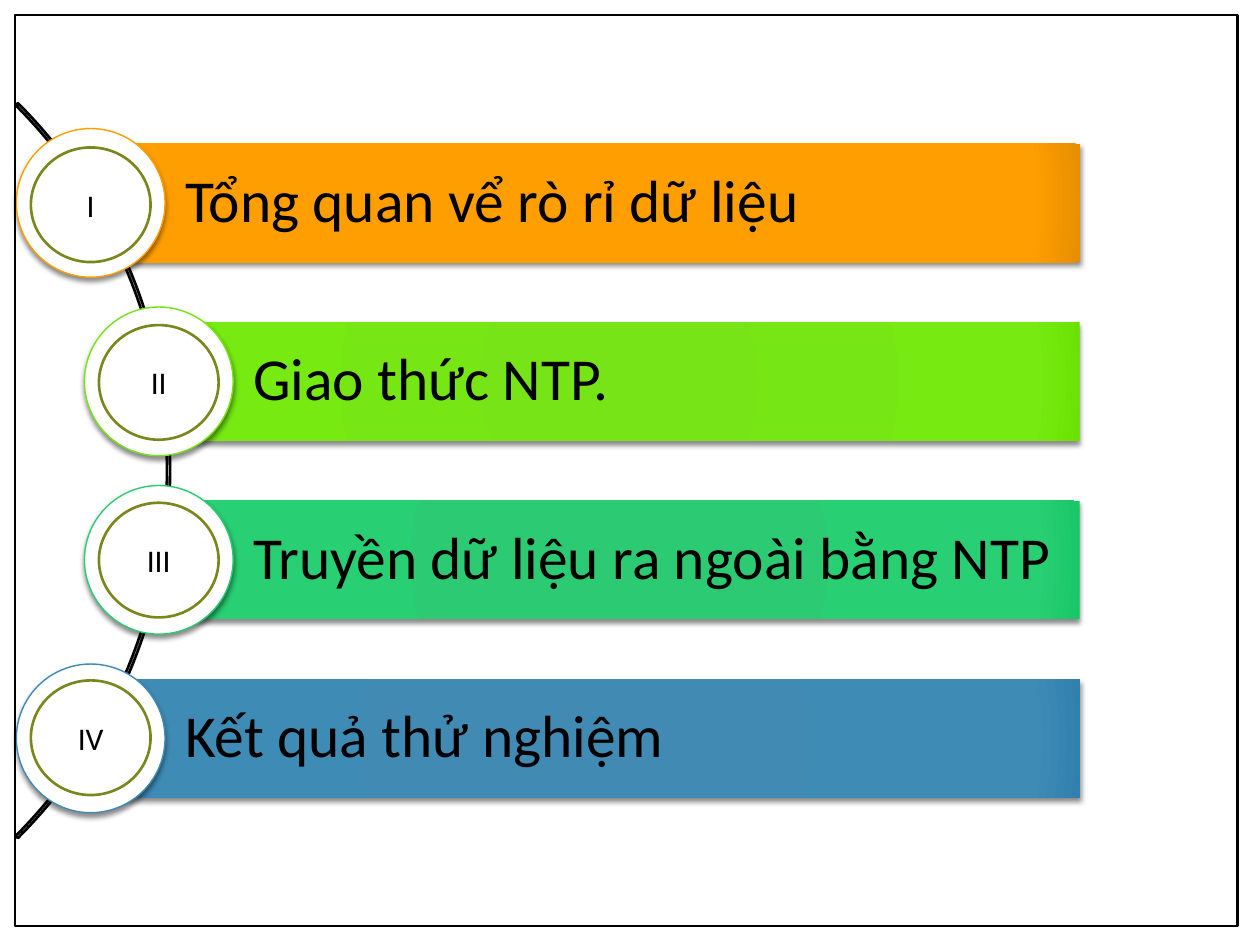
from dataclasses import dataclass

from lxml import etree
from pptx import Presentation
from pptx import util as u
from pptx.dml.color import RGBColor
from pptx.enum import shapes, text
from pptx.oxml import parse_xml
from pptx.oxml.ns import nsdecls, qn


@dataclass(frozen=True)
class Theme:
    font: str = "Calibri"
    ink: str = "000000"
    paper: str = "FFFFFF"
    ring: str = "7B871D"
    heading_size: float = 34
    numeral_size: float = 18
    line: float = 1.5
    thin_line: float = 0.79


THEME = Theme()

# Numeral, heading, bar gradient (start, 90 %, end), left edge of the bar
SECTIONS = [
    ("I", "Tổng quan vể rò rỉ dữ liệu", ("FE9E00", "FE9E00", "E78F00"), 0.72),
    ("II", "Giao thức NTP.", ("76E416", "76EA11", "6AE201"), 1.26),
    ("III", "Truyền dữ liệu ra ngoài bằng NTP", ("2CCB73", "28CF73", "19C767"), 1.26),
    ("IV", "Kết quả thử nghiệm", ("418AB3", "3E8BB6", "3180AD"), 0.72),
]
FIRST_TOP, LAST_TOP = 1.14, 5.39
BAR_RIGHT, BAR_HEIGHT = 8.57, 0.94
DISC_SIZE = 1.18
RING_TOP, RING_PITCH = 1.17, 1.41
RING_WIDTH, RING_HEIGHT = 0.95, 0.91


def add_shape(page, kind, box, fill=None, line=None, width=THEME.line):
    """Place a preset shape in box = (left, top, width, height) in inches."""
    shape = page.shapes.add_shape(kind, *map(u.Inches, box))
    shape.shadow.inherit = False
    if fill:
        shape.fill.solid()
        shape.fill.fore_color.rgb = RGBColor.from_string(fill)
    else:
        shape.fill.background()
    if line:
        shape.line.color.rgb = RGBColor.from_string(line)
        shape.line.width = u.Pt(width)
    else:
        shape.line.fill.background()
    return shape


def add_shadow(shape):
    effects = shape._element.spPr.find(qn("a:effectLst"))
    shadow = etree.SubElement(effects, qn("a:outerShdw"), blurRad=str(u.Pt(3)),
                              dist=str(u.Pt(2)), dir="5400000", rotWithShape="0")
    color = etree.SubElement(shadow, qn("a:srgbClr"), val=THEME.ink)
    etree.SubElement(color, qn("a:alpha"), val="45000")


def set_path_gradient(shape, colors):
    stops = "".join(
        f'<a:gs pos="{position}"><a:srgbClr val="{color}"/></a:gs>'
        for position, color in zip((0, 90000, 100000), colors))
    gradient = parse_xml(
        f'<a:gradFill {nsdecls("a")} rotWithShape="1"><a:gsLst>{stops}</a:gsLst>'
        '<a:path path="circle"><a:fillToRect l="100000" t="100000" r="100000" '
        'b="100000"/></a:path></a:gradFill>')
    properties = shape._element.spPr
    properties.replace(properties.find(qn("a:noFill")), gradient)


def write_text(shape, words, size, align):
    frame = shape.text_frame
    frame.word_wrap = True
    frame.vertical_anchor = text.MSO_ANCHOR.MIDDLE
    para = frame.paragraphs[0]
    para.text = words
    para.alignment = align
    para.font.name = THEME.font
    para.font.size = u.Pt(size)
    para.font.color.rgb = RGBColor.from_string(THEME.ink)
    return frame


def add_arc(page, box):
    arc = add_shape(page, shapes.MSO_SHAPE.BLOCK_ARC, box, line=THEME.ink)
    for index, value in enumerate((189, 27, 0.003)):
        arc.adjustments[index] = value


def add_section(page, box, heading, colors):
    """A heading bar with a white disc centred on its left edge."""
    left, top, _, height = box
    bar = add_shape(page, shapes.MSO_SHAPE.RECTANGLE, box)
    set_path_gradient(bar, colors)
    add_shadow(bar)
    frame = write_text(bar, heading, THEME.heading_size, text.PP_ALIGN.LEFT)
    frame.paragraphs[0].line_spacing = 0.9
    frame.margin_left = u.Inches(0.75)
    frame.margin_top = frame.margin_right = frame.margin_bottom = u.Inches(0.09)

    disc_box = (left - DISC_SIZE / 2, top + (height - DISC_SIZE) / 2,
                DISC_SIZE, DISC_SIZE)
    disc = add_shape(page, shapes.MSO_SHAPE.OVAL, disc_box, THEME.paper,
                     colors[0], THEME.thin_line)
    add_shadow(disc)


def add_numeral(page, box, numeral):
    ring = add_shape(page, shapes.MSO_SHAPE.FLOWCHART_CONNECTOR, box, line=THEME.ring)
    write_text(ring, numeral, THEME.numeral_size, text.PP_ALIGN.CENTER)


def build_agenda(page):
    # Curve behind the discs
    add_arc(page, (-6.9, -0.39, 8.25, 8.25))

    # Bars and numbered rings
    pitch = (LAST_TOP - FIRST_TOP) / (len(SECTIONS) - 1)
    for row, (numeral, heading, colors, left) in enumerate(SECTIONS):
        bar_box = (left, FIRST_TOP + row * pitch, BAR_RIGHT - left, BAR_HEIGHT)
        add_section(page, bar_box, heading, colors)
        ring_box = (left - RING_WIDTH / 2, RING_TOP + row * RING_PITCH,
                    RING_WIDTH, RING_HEIGHT)
        add_numeral(page, ring_box, numeral)

    # Page frame
    add_shape(page, shapes.MSO_SHAPE.RECTANGLE, (0.12, 0.12, 9.7, 7.23), line=THEME.ink)


def main():
    deck = Presentation()
    deck.slide_width, deck.slide_height = u.Inches(10), u.Inches(7.5)
    build_agenda(deck.slides.add_slide(deck.slide_layouts[6]))
    deck.save("out.pptx")


if __name__ == "__main__":
    main()
